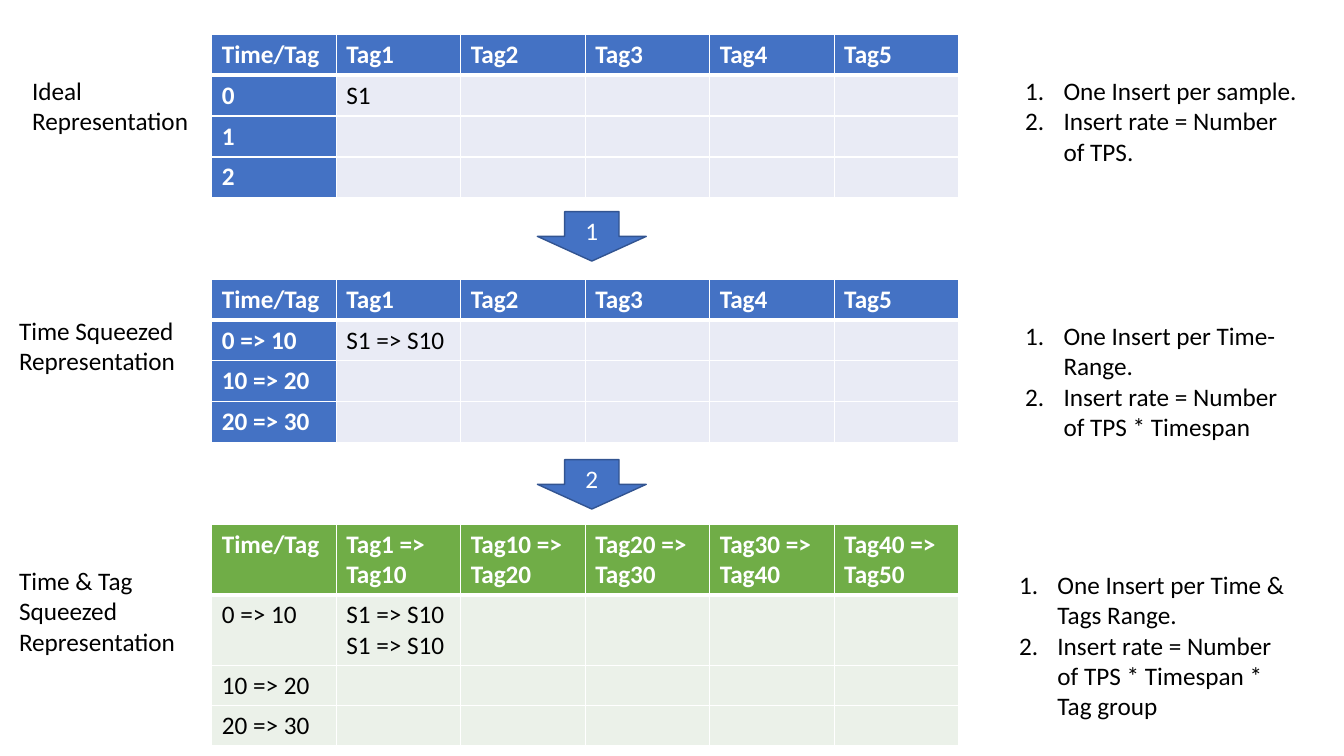
from dataclasses import dataclass
from lxml.etree import SubElement
from pptx import Presentation
from pptx.dml.color import RGBColor
from pptx.enum.shapes import MSO_SHAPE
from pptx.enum.text import MSO_ANCHOR, PP_ALIGN
from pptx.oxml.ns import qn
from pptx.slide import Slide
from pptx.table import _Cell
from pptx.text.text import TextFrame
from pptx.util import Inches, Pt

COLORS = {
    "white": "FFFFFF",
    "black": "000000",
    "blue": "4472C4",
    "blue_line": "325491",
    "blue_tint": "E9EBF5",
    "green": "70AD47",
    "green_tint": "EBF1E9",
}
TABLE_LEFT, TABLE_WIDTH, COLUMN_COUNT = 2.1, 7.41, 6
ARROW_LEFT, ARROW_WIDTH, ARROW_HEIGHT = 5.33, 1.08, 0.49


@dataclass(frozen=True)
class TextBlock:
    left: float
    top: float
    width: float
    height: float
    lines: tuple[str, ...]
    numbered: bool = False


@dataclass(frozen=True)
class Representation:
    top: float
    row_heights: tuple[float, ...]
    tags: tuple[str, ...]
    times: tuple[str, ...]
    sample: str
    accent: str
    tint: str
    accent_first_column: bool
    label: TextBlock
    notes: TextBlock


@dataclass(frozen=True)
class StepArrow:
    top: float
    number: str


def color(name: str) -> RGBColor:
    return RGBColor.from_string(COLORS[name])


def write_text(frame: TextFrame, text: str, *, color_name: str = "black", bold: bool = False,
               centered: bool = False, numbered: bool = False) -> None:
    frame.text = text
    for paragraph in frame.paragraphs:
        paragraph.font.size = Pt(18)
        paragraph.alignment = PP_ALIGN.CENTER if centered else PP_ALIGN.LEFT
        for run in paragraph.runs:
            run.font.name = "Calibri"
            run.font.size = Pt(18)
            run.font.bold = bold
            run.font.color.rgb = color(color_name)
        if numbered:
            properties = paragraph._p.get_or_add_pPr()
            properties.set("marL", str(Inches(0.38)))
            properties.set("indent", str(-Inches(0.38)))
            numbering = properties.makeelement(qn("a:buAutoNum"), {"type": "arabicPeriod"})
            properties.insert(0, numbering)


def set_borders(cell: _Cell, *, top: float, bottom: float) -> None:
    properties = cell._tc.get_or_add_tcPr()
    for side, width in (("L", 1), ("R", 1), ("T", top), ("B", bottom)):
        border = SubElement(properties, qn(f"a:ln{side}"), w=str(Pt(width)))
        fill = SubElement(border, qn("a:solidFill"))
        SubElement(fill, qn("a:srgbClr"), val=COLORS["white"])


def add_text_block(slide: Slide, block: TextBlock) -> None:
    box = slide.shapes.add_textbox(Inches(block.left), Inches(block.top),
                                   Inches(block.width), Inches(block.height))
    box.text_frame.word_wrap = True
    write_text(box.text_frame, "\n".join(block.lines), numbered=block.numbered)


def add_representation(slide: Slide, item: Representation) -> None:
    frame = slide.shapes.add_table(
        len(item.row_heights), COLUMN_COUNT, Inches(TABLE_LEFT), Inches(item.top),
        Inches(TABLE_WIDTH), Inches(sum(item.row_heights)))
    table = frame.table
    table.first_row = False
    table.horz_banding = False
    texts = {(0, column): tag for column, tag in enumerate(("Time/Tag", *item.tags))}
    texts |= {(row, 0): time for row, time in enumerate(item.times, 1)}
    texts[1, 1] = item.sample
    for row, height in enumerate(item.row_heights):
        table.rows[row].height = Inches(height)
        for column in range(COLUMN_COUNT):
            cell = table.cell(row, column)
            accented = row == 0 or (column == 0 and item.accent_first_column)
            set_borders(cell, top=3 if row == 1 else 1, bottom=3 if row == 0 else 1)
            cell.fill.solid()
            cell.fill.fore_color.rgb = color(item.accent if accented else item.tint)
            write_text(cell.text_frame, texts.get((row, column), ""),
                       color_name="white" if accented else "black", bold=accented)
    add_text_block(slide, item.label)
    add_text_block(slide, item.notes)


def add_step_arrow(slide: Slide, arrow: StepArrow) -> None:
    shape = slide.shapes.add_shape(MSO_SHAPE.DOWN_ARROW, Inches(ARROW_LEFT), Inches(arrow.top),
                                   Inches(ARROW_WIDTH), Inches(ARROW_HEIGHT))
    shape.shadow.inherit = False
    shape.fill.solid()
    shape.fill.fore_color.rgb = color("blue")
    shape.line.color.rgb = color("blue_line")
    shape.line.width = Pt(1)
    shape.text_frame.vertical_anchor = MSO_ANCHOR.MIDDLE
    write_text(shape.text_frame, arrow.number, color_name="white", centered=True)


SINGLE_TAGS = tuple(f"Tag{number}" for number in range(1, COLUMN_COUNT))
TAG_RANGES = tuple(f"Tag{max(start, 1)} => Tag{start + 10}" for start in range(0, 50, 10))
TIME_RANGES = tuple(f"{start} => {start + 10}" for start in range(0, 30, 10))
EVEN_ROWS = (0.405,) * 4

REPRESENTATIONS = (
    Representation(
        0.34, EVEN_ROWS, SINGLE_TAGS, ("0", "1", "2"), "S1", "blue", "blue_tint", True,
        TextBlock(0.22, 0.7, 1.88, 0.71, ("Ideal Representation",)),
        TextBlock(10.07, 0.7, 2.9, 1.01,
                  ("One Insert per sample.", "Insert rate = Number of TPS."), True)),
    Representation(
        2.77, EVEN_ROWS, SINGLE_TAGS, TIME_RANGES, "S1 => S10", "blue", "blue_tint", True,
        TextBlock(0.09, 3.08, 1.88, 0.71, ("Time Squeezed Representation",)),
        TextBlock(10.07, 3.13, 2.9, 1.31,
                  ("One Insert per Time-Range.", "Insert rate = Number of TPS * Timespan"), True)),
    Representation(
        5.2, (0.7, 0.7, 0.4, 0.4), TAG_RANGES, TIME_RANGES, "S1 => S10\nS1 => S10",
        "green", "green_tint", False,
        TextBlock(0.09, 5.56, 1.88, 1.01, ("Time & Tag Squeezed Representation",)),
        TextBlock(10.01, 5.6, 2.96, 1.62,
                  ("One Insert per Time & Tags Range.",
                   "Insert rate = Number of TPS * Timespan * Tag group"), True)),
)
STEP_ARROWS = (StepArrow(2.1, "1"), StepArrow(4.56, "2"))

presentation = Presentation()
presentation.slide_width = Inches(13.33)
presentation.slide_height = Inches(7.5)
slide = presentation.slides.add_slide(presentation.slide_layouts[6])
for representation in REPRESENTATIONS:
    add_representation(slide, representation)
for step_arrow in STEP_ARROWS:
    add_step_arrow(slide, step_arrow)
presentation.save("out.pptx")
